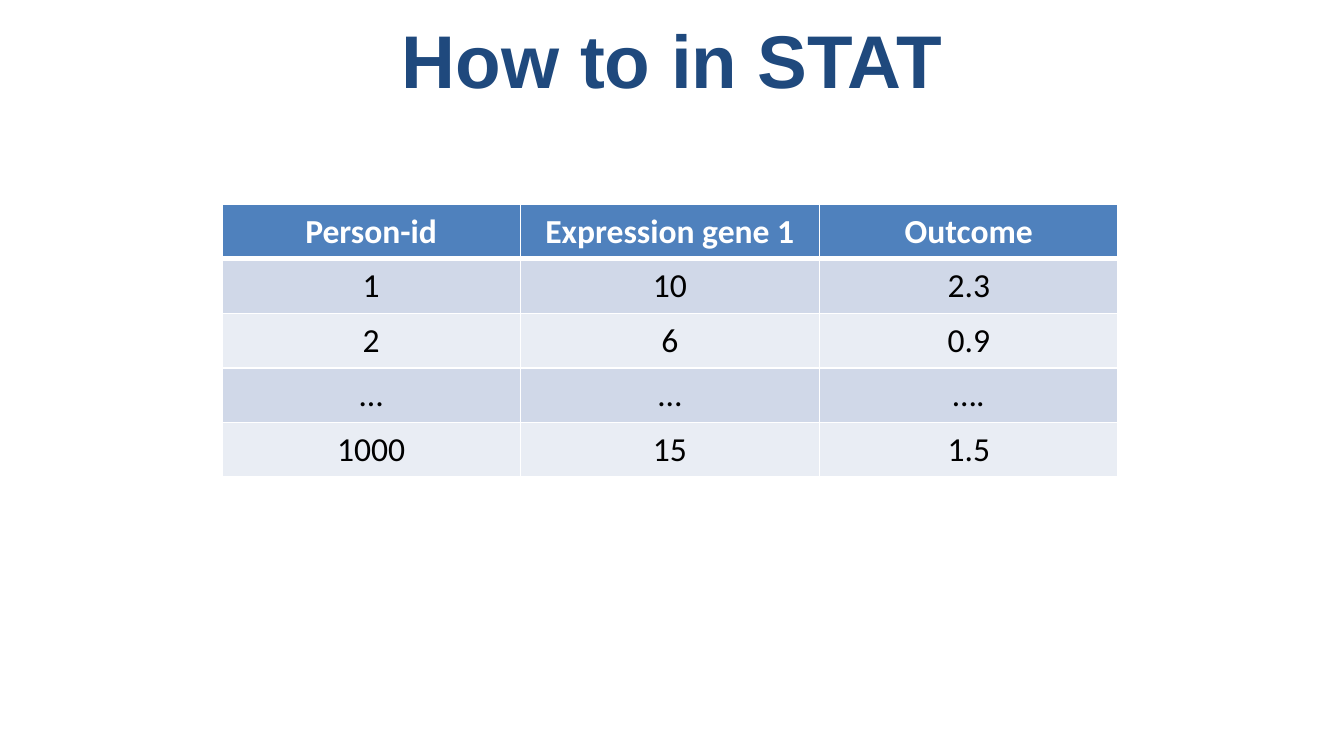
"""Build a slide with a heading and a small data table."""
from dataclasses import dataclass
from typing import Any

from lxml import etree
from pptx import Presentation
from pptx.dml.color import RGBColor
from pptx.enum.text import MSO_ANCHOR, PP_ALIGN
from pptx.oxml.ns import qn
from pptx.util import Inches, Pt

MID = MSO_ANCHOR.MIDDLE
TOP = MSO_ANCHOR.TOP
CENTER = PP_ALIGN.CENTER


@dataclass(frozen=True)
class Theme:
    navy: str = "1F497D"
    head: str = "4F81BD"
    bands: tuple[str, str] = ("D0D8E8", "E9EDF4")
    white: str = "FFFFFF"
    black: str = "000000"
    title: int = 40
    body: int = 18
    thin: int = 1
    thick: int = 3


@dataclass(frozen=True)
class Style:
    name: str
    size: int
    color: str
    bold: bool


@dataclass(frozen=True)
class Grid:
    left: float
    top: float
    width: float
    height: float
    data: tuple[tuple[str, ...], ...]


THEME = Theme()
WIDE = 10
HIGH = WIDE * 9 / 16
TITLE = Style("Arial", THEME.title, THEME.navy, True)
HEAD = Style("Calibri", THEME.body, THEME.white, True)
BODY = Style("Calibri", THEME.body, THEME.black, False)
GENES = Grid(1.65, 1.52, 6.67, 2.03, (
    ("Person-id", "Expression gene 1", "Outcome"),
    ("1", "10", "2.3"),
    ("2", "6", "0.9"),
    ("…", "…", "…."),
    ("1000", "15", "1.5"),
))


def write(frame: Any, text: str, style: Style) -> None:
    """Put one centred line of styled text in a frame."""
    line = frame.paragraphs[0]
    line.alignment = CENTER
    run = line.add_run()
    run.text = text
    look = {"name": style.name, "size": Pt(style.size), "bold": style.bold}
    for key, value in look.items():
        setattr(run.font, key, value)
    run.font.color.rgb = RGBColor.from_string(style.color)


def edge(cell: Any, sides: dict[str, int]) -> None:
    """Draw white borders of the given widths on a cell."""
    props = cell._tc.get_or_add_tcPr()
    for spot, (side, width) in enumerate(sides.items()):
        line = etree.Element(qn(f"a:ln{side}"), w=str(Pt(width)))
        fill = etree.SubElement(line, qn("a:solidFill"))
        etree.SubElement(fill, qn("a:srgbClr"), val=THEME.white)
        props.insert(spot, line)


def draw_title(slide: Any, text: str) -> None:
    """Add the heading across the full width."""
    box = slide.shapes.add_textbox(0, Inches(0.03), Inches(WIDE), Inches(0.82))
    frame = box.text_frame
    for key, value in {"word_wrap": True, "vertical_anchor": MID}.items():
        setattr(frame, key, value)
    write(frame, text, TITLE)


def draw_grid(slide: Any, grid: Grid) -> None:
    """Add a banded table with equal rows and columns."""
    rows, cols = len(grid.data), len(grid.data[0])
    area = (grid.left, grid.top, grid.width, grid.height)
    table = slide.shapes.add_table(rows, cols, *map(Inches, area)).table
    for r, line in enumerate(grid.data):
        style = BODY if r else HEAD
        color = THEME.bands[(r - 1) % 2] if r else THEME.head
        upper = THEME.thick if r == 1 else THEME.thin
        lower = THEME.thin if r else THEME.thick
        sides = {"L": THEME.thin, "R": THEME.thin, "T": upper, "B": lower}
        for c, text in enumerate(line):
            cell = table.cell(r, c)
            cell.vertical_anchor = TOP
            cell.fill.solid()
            cell.fill.fore_color.rgb = RGBColor.from_string(color)
            edge(cell, sides)
            write(cell.text_frame, text, style)


def main() -> None:
    """Build and save the deck."""
    deck = Presentation()
    size = {"slide_width": Inches(WIDE), "slide_height": Inches(HIGH)}
    for key, value in size.items():
        setattr(deck, key, value)
    slide = deck.slides.add_slide(deck.slide_layouts[6])
    draw_title(slide, "How to in STAT")
    draw_grid(slide, GENES)
    deck.save("out.pptx")


main()
